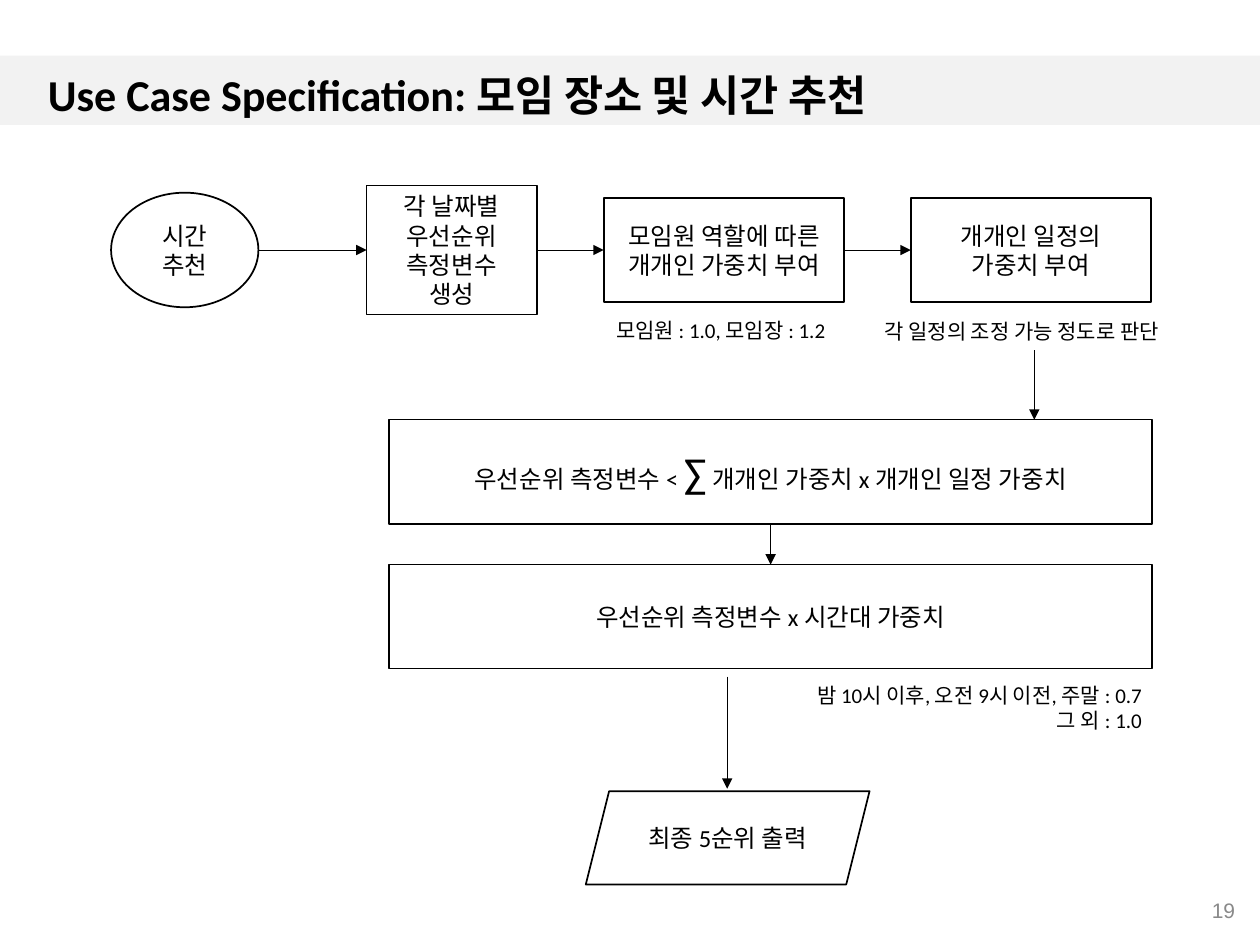
"""Build the flowchart slide for recommending meeting times."""
import lxml.etree
import pptx
import pptx.dml.color
import pptx.enum.shapes
import pptx.enum.text
import pptx.oxml.ns
import pptx.util

Cm = pptx.util.Cm
Pt = pptx.util.Pt
SHAPE = pptx.enum.shapes.MSO_SHAPE
ALIGN = pptx.enum.text.PP_ALIGN
MIDDLE = pptx.enum.text.MSO_ANCHOR.MIDDLE
qn = pptx.oxml.ns.qn

COLORS = {"ink": "000000", "band": "F2F2F2", "number": "898989"}
TOP, LEFT, BOTTOM, RIGHT = range(4)
KOREAN = "Noto Sans CJK KR"


def rgb(name):
    """Return the named colour."""
    return pptx.dml.color.RGBColor.from_string(COLORS[name])


def set_font(font, size, color="ink", name="Calibri"):
    """Format a paragraph or run font."""
    font.name, font.size = name, Pt(size)
    font.color.rgb = rgb(color)


def write(tf, lines, size, align, color="ink", name="Calibri"):
    """Write one paragraph for each line."""
    tf.word_wrap = True
    for i, line in enumerate(lines):
        p = tf.paragraphs[0] if i == 0 else tf.add_paragraph()
        p.text, p.alignment = line, align
        set_font(p.font, size, color, name)


def add_box(s, kind, x, y, w, h, *lines):
    """Add an outlined flowchart shape with centred text."""
    sp = s.shapes.add_shape(kind, Cm(x), Cm(y), Cm(w), Cm(h))
    sp.shadow.inherit = False
    sp.fill.background()
    sp.line.color.rgb = rgb("ink")
    sp.line.width = Pt(1)
    sp.text_frame.vertical_anchor = MIDDLE
    write(sp.text_frame, lines, 14, ALIGN.CENTER)
    return sp


def add_note(s, x, y, w, h, *lines, align=ALIGN.LEFT):
    """Add a small unframed remark."""
    sp = s.shapes.add_textbox(Cm(x), Cm(y), Cm(w), Cm(h))
    write(sp.text_frame, lines, 12, align)


def add_arrow(s, x1, y1, x2, y2, begin=None, end=None):
    """Add an arrow, joined to (shape, side) pairs where given."""
    line = s.shapes.add_connector(
        pptx.enum.shapes.MSO_CONNECTOR.STRAIGHT, Cm(x1), Cm(y1), Cm(x2), Cm(y2))
    if begin:
        line.begin_connect(*begin)
    if end:
        line.end_connect(*end)
    line.line.color.rgb = rgb("ink")
    line.line.width = Pt(0.5)
    ln = line.line._get_or_add_ln()
    lxml.etree.SubElement(ln, qn("a:tailEnd"), type="triangle")
    lxml.etree.SubElement(line._element.spPr, qn("a:effectLst"))


def add_header(s, x, y, w, h):
    """Place the title on its grey band."""
    band = s.shapes.add_shape(SHAPE.RECTANGLE, Cm(x), Cm(y), Cm(w), Cm(h))
    band.shadow.inherit = False
    band.fill.solid()
    band.fill.fore_color.rgb = rgb("band")
    band.line.fill.background()
    title = s.shapes.title
    title._element.addprevious(band._element)
    title.left, title.top = Cm(x + 0.71), Cm(y - 0.02)
    title.width, title.height = Cm(w - 1.4), Cm(h + 0.02)
    tf = title.text_frame
    tf.auto_size = pptx.enum.text.MSO_AUTO_SIZE.NONE
    tf.vertical_anchor = MIDDLE
    p = tf.paragraphs[0]
    p.alignment, p.line_spacing = ALIGN.LEFT, 1.15
    p.font.bold = True
    for text, size, name in (("Use Case Specification: ", 25.2, "Calibri"),
                             ("모임 장소 및 시간 추천", 24.3, KOREAN)):
        r = p.add_run()
        r.text = text
        set_font(r.font, size, name=name)
        r.font.bold = True
    lxml.etree.SubElement(r._r.rPr, qn("a:ea"), typeface=KOREAN)


def add_weighting_row(s, x, y, w, h):
    """Place the start and the weighting steps around one centre line."""
    mid = y + h / 2
    steps = (
        (SHAPE.OVAL, 0, 2.97, 2.31, ("시간", "추천")),
        (SHAPE.RECTANGLE, 5.15, 3.43, h, ("각 날짜별", "우선순위", "측정변수", "생성")),
        (SHAPE.RECTANGLE, 9.93, 4.85, 2.1, ("모임원 역할에 따른 개개인 가중치 부여",)),
        (SHAPE.RECTANGLE, w - 4.85, 4.85, 2.1, ("개개인 일정의", "가중치 부여")),
    )
    start, *boxes = [add_box(s, kind, x + dx, mid - sh / 2, sw, sh, *lines)
                     for kind, dx, sw, sh, lines in steps]
    add_note(s, x + 9.93, y + 2.54, 5, 0.77, "모임원 : 1.0, 모임장 : 1.2")
    add_note(s, x + 15.34, y + 2.56, 6.55, 0.77, "각 일정의 조정 가능 정도로 판단")
    add_arrow(s, x + 2.97, mid, x + 5.15, mid, end=(boxes[0], LEFT))
    for a, b in zip(boxes, boxes[1:]):
        add_arrow(s, 0, 0, 0, 0, (a, RIGHT), (b, LEFT))
    add_arrow(s, x + 18.61, y + 3.32, x + 18.61, y + 4.72)
    return start


def add_scoring(s, x, y, w, h):
    """Place the two scoring formulas and the output below them."""
    total = add_box(s, SHAPE.RECTANGLE, x, y, w, 2.1, "")
    p = total.text_frame.paragraphs[0]
    for text, size in (("우선순위 측정변수 < ", 14), ("∑", 24),
                       (" 개개인 가중치 x 개개인 일정 가중치", 14)):
        r = p.add_run()
        r.text = text
        set_font(r.font, size)
    timed = add_box(s, SHAPE.RECTANGLE, x, y + 2.92, w, 2.1,
                    "우선순위 측정변수 x 시간대 가중치")
    add_note(s, x + 7.9, y + 5.18, 7.52, 1.27,
             "밤 10시 이후, 오전 9시 이전, 주말 : 0.7", "그 외 : 1.0", align=ALIGN.RIGHT)
    add_arrow(s, 0, 0, 0, 0, (total, BOTTOM), (timed, TOP))
    add_arrow(s, x + 6.81, y + 5.18, x + 6.81, y + 7.44)
    add_box(s, SHAPE.PARALLELOGRAM, x + 3.96, y + h - 1.88, 5.72, 1.88, "최종 5순위 출력")


def add_number(s, x, y, w, h):
    """Place the page number."""
    sp = s.shapes.add_textbox(Cm(x), Cm(y), Cm(w), Cm(h))
    sp.text_frame.vertical_anchor = MIDDLE
    write(sp.text_frame, ["19"], 12, ALIGN.RIGHT, "number", "Arial")


def main():
    """Build and save the slide."""
    prs = pptx.Presentation()
    prs.slide_width, prs.slide_height = Cm(25.4), Cm(19.05)
    s = prs.slides.add_slide(prs.slide_layouts[5])
    add_header(s, 0, 1.12, 25.4, 1.4)
    add_weighting_row(s, 2.24, 3.74, 20.97, 2.6)
    add_scoring(s, 7.85, 8.46, 15.37, 9.37)
    add_number(s, 19.43, 17.83, 5.72, 1.02)
    prs.save("out.pptx")


if __name__ == "__main__":
    main()
